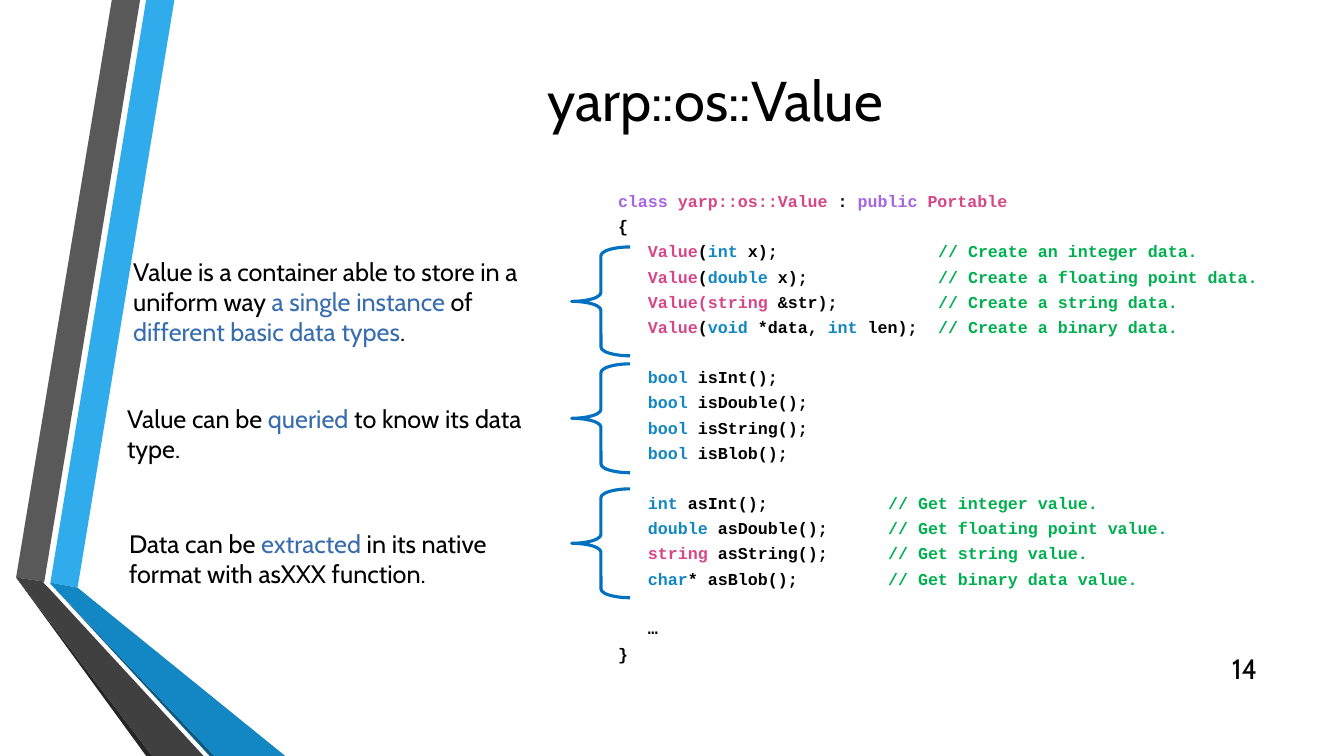
from dataclasses import dataclass
from typing import NamedTuple, Optional, Sequence

from lxml import etree
from pptx import Presentation
from pptx import util as u
from pptx.dml.color import RGBColor
from pptx.enum import shapes, text
from pptx.oxml import ns


@dataclass(frozen=True)
class Theme:
    sans: str = "Cabin"
    mono: str = "Courier New"
    black: str = "000000"
    accent: str = "376DAE"
    brace: str = "0070C0"
    keyword: str = "A666E1"
    name: str = "D64787"
    builtin: str = "1287C3"
    comment: str = "00B050"
    title_size: float = 40
    note_size: float = 18
    code_size: float = 11.9
    number_size: float = 20
    brace_width: float = 2.25


THEME = Theme()


class Span(NamedTuple):
    words: str
    color: str = THEME.black


class Box(NamedTuple):
    left: float
    top: float
    width: float
    height: float


class Band(NamedTuple):
    color: str
    points: Sequence[tuple[float, float]]


class Note(NamedTuple):
    box: Box
    spans: Sequence[Span]
    brace_top: float


class CodeGroup(NamedTuple):
    lines: Sequence[Sequence[Span]]
    comment_column: int = 0
    gap: float = 0


def keyword(words: str) -> Span:
    return Span(words, THEME.keyword)


def name(words: str) -> Span:
    return Span(words, THEME.name)


def builtin(words: str) -> Span:
    return Span(words, THEME.builtin)


def comment(words: str) -> Span:
    return Span("\t// " + words, THEME.comment)


def accent(words: str) -> Span:
    return Span(words, THEME.accent)


INDENT = Span("   ")
CODE_PITCH = 17.43  # points from one code line to the next
CHAR_WIDTH = 0.0992  # inches per monospaced character

BANDS = [
    Band("30ACEC", [(0.5, 5.78), (0.77, 5.83), (1.73, 0), (1.45, 0)]),
    Band("595959", [(1.39, 0), (1.11, 0), (0.16, 5.73), (0.44, 5.77)]),
    Band("262626", [(0.16, 5.73), (1.45, 7.5), (1.51, 7.5)]),
    Band("0C5A82", [(0.5, 5.79), (2.08, 7.5), (2.13, 7.5)]),
    Band("1287C3", [(0.5, 5.79), (2.13, 7.5), (2.83, 7.5), (0.77, 5.83), (0.5, 5.78)]),
    Band("404040", [(2.02, 7.5), (0.48, 5.83), (0.43, 5.78), (0.44, 5.77),
                    (0.16, 5.73), (1.51, 7.5)]),
]

NOTES = [
    Note(Box(1.17, 2.49, 4.49, 1.01),
         [Span("Value is a container able to store in a uniform way "),
          accent("a single instance "), Span("of "),
          accent("different basic data types"), Span(".")], 2.45),
    Note(Box(1.11, 3.95, 4.21, 0.71),
         [Span("Value can be "), accent("queried"), Span(" to know its data type.")], 3.61),
    Note(Box(1.13, 5.19, 4.17, 0.71),
         [Span("Data can be "), accent("extracted"),
          Span(" in its native format with asXXX function.")], 4.85),
]

CODE = [
    CodeGroup([
        [keyword("class "), name("yarp::os::Value "), Span(": "),
         keyword("public "), name("Portable")],
        [Span("{")],
    ]),
    CodeGroup([
        [INDENT, name("Value"), Span("("), builtin("int"), Span(" x);"),
         comment("Create an integer data.")],
        [INDENT, name("Value"), Span("("), builtin("double"), Span(" x);"),
         comment("Create a floating point data.")],
        [INDENT, name("Value(string "), Span("&str);"), comment("Create a string data.")],
        [INDENT, name("Value"), Span("("), builtin("void "), Span("*data, "),
         builtin("int "), Span("len);"), comment("Create a binary data.")],
    ], comment_column=32),
    CodeGroup([[INDENT, builtin("bool "), Span(f"is{kind}();")]
               for kind in ("Int", "Double", "String", "Blob")], gap=CODE_PITCH),
    CodeGroup([
        [INDENT, builtin("int "), Span("asInt();"), comment("Get integer value.")],
        [INDENT, builtin("double "), Span("asDouble();"), comment("Get floating point value.")],
        [INDENT, name("string "), Span("asString();"), comment("Get string value.")],
        [INDENT, builtin("char"), Span("* asBlob();"), comment("Get binary data value.")],
    ], comment_column=27, gap=CODE_PITCH),
    CodeGroup([[INDENT, Span("…")]], gap=CODE_PITCH),
    CodeGroup([[Span("}")]]),
]


def write(paragraph, spans: Sequence[Span], *, size: float, font: str = THEME.sans,
          bold: bool = False, align=text.PP_ALIGN.LEFT, spacing: Optional[float] = None,
          before: float = 0, after: float = 0, tab: float = 0) -> None:
    paragraph.alignment = align
    paragraph.space_before, paragraph.space_after = u.Pt(before), u.Pt(after)
    if spacing:
        paragraph.line_spacing = spacing
    if tab:
        stops = etree.SubElement(paragraph._p.get_or_add_pPr(), ns.qn("a:tabLst"))
        etree.SubElement(stops, ns.qn("a:tab"), pos=str(u.Inches(tab)), algn="l")
    for span in spans:
        run = paragraph.add_run()
        run.text = span.words
        run.font.name, run.font.size, run.font.bold = font, u.Pt(size), bold
        run.font.color.rgb = RGBColor.from_string(span.color)


def add_frame(slide, box: Box, *, anchor=text.MSO_ANCHOR.TOP, inset: float = 0.1):
    frame = slide.shapes.add_textbox(*map(u.Inches, box)).text_frame
    frame.word_wrap = True
    frame.vertical_anchor = anchor
    frame.margin_left = u.Inches(inset)
    return frame


def draw_band(slide, band: Band) -> None:
    start, *others = [(u.Inches(x), u.Inches(y)) for x, y in band.points]
    builder = slide.shapes.build_freeform(*start)
    builder.add_line_segments(others, close=True)
    stripe = builder.convert_to_shape()
    stripe.shadow.inherit = False
    stripe.fill.solid()
    stripe.fill.fore_color.rgb = RGBColor.from_string(band.color)
    stripe.line.fill.background()


def draw_brace(slide, top: float) -> None:
    brace = slide.shapes.add_shape(shapes.MSO_SHAPE.LEFT_BRACE,
                                   *map(u.Inches, Box(5.67, top, 0.58, 1.08)))
    brace.adjustments[0], brace.adjustments[1] = 0.15, 0.5
    brace.shadow.inherit = False
    brace.fill.background()
    brace.line.color.rgb = RGBColor.from_string(THEME.brace)
    brace.line.width = u.Pt(THEME.brace_width)


def draw_code(slide, groups: Sequence[CodeGroup]) -> None:
    frame = add_frame(slide, Box(5.98, 1.92, 6.86, 4.67),
                      anchor=text.MSO_ANCHOR.MIDDLE, inset=0.15)
    paragraph = frame.paragraphs[0]
    for group in groups:
        for index, line in enumerate(group.lines):
            if paragraph.runs:
                paragraph = frame.add_paragraph()
            write(paragraph, line, size=THEME.code_size, font=THEME.mono, bold=True,
                  spacing=0.8, before=0 if index else group.gap, after=6.65,
                  tab=group.comment_column * CHAR_WIDTH)


def main() -> None:
    deck = Presentation()
    deck.slide_width, deck.slide_height = u.Inches(13.33), u.Inches(7.5)
    slide = deck.slides.add_slide(deck.slide_layouts[6])

    # Folded ribbons on the left edge
    for band in BANDS:
        draw_band(slide, band)

    # Title
    title = add_frame(slide, Box(1.62, 0.02, 10.95, 1.92), anchor=text.MSO_ANCHOR.MIDDLE)
    write(title.paragraphs[0], [Span("yarp::os::Value")], size=THEME.title_size,
          align=text.PP_ALIGN.CENTER)

    # Class listing, with a note and a brace for each group of methods
    draw_code(slide, CODE)
    for note in NOTES:
        frame = add_frame(slide, note.box, inset=0.15)
        write(frame.paragraphs[0], note.spans, size=THEME.note_size)
        draw_brace(slide, note.brace_top)

    # Slide number
    number = add_frame(slide, Box(11.97, 6.43, 0.6, 0.4), anchor=text.MSO_ANCHOR.MIDDLE)
    write(number.paragraphs[0], [Span("14")], size=THEME.number_size,
          align=text.PP_ALIGN.RIGHT)

    deck.save("out.pptx")


if __name__ == "__main__":
    main()
